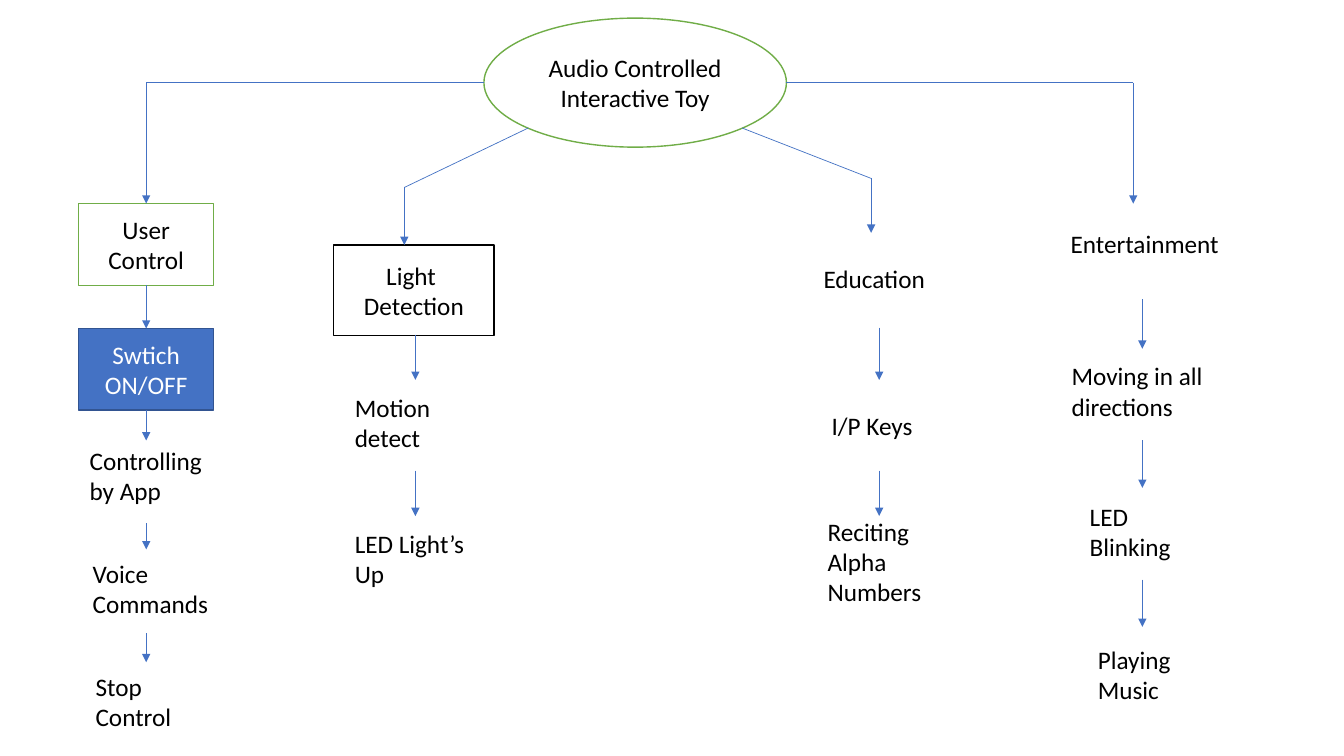
from dataclasses import dataclass
from itertools import pairwise
from typing import Any, NamedTuple

from lxml.etree import SubElement as Sub
from pptx import Presentation
from pptx.dml.color import RGBColor as Rgb
from pptx.enum.shapes import MSO_CONNECTOR as Link, MSO_SHAPE as Kind
from pptx.enum.text import MSO_ANCHOR as Anchor, MSO_AUTO_SIZE as Fit, PP_ALIGN as Align
from pptx.oxml.ns import qn
from pptx.util import Inches, Pt


@dataclass(frozen=True)
class Theme:
    font: str = "Calibri"
    size: float = 18
    edge: float = 1
    wire: float = 0.5
    ink: str = "000000"
    paper: str = "FFFFFF"
    blue: str = "4472C4"
    navy: str = "325491"
    green: str = "70AD47"


THEME = Theme()


class Node(NamedTuple):
    """A filled, outlined box with centred text."""
    text: str
    x: float
    y: float
    w: float
    h: float
    line: str
    fill: str = THEME.paper
    ink: str = THEME.ink
    kind: Kind = Kind.RECTANGLE


class Label(NamedTuple):
    text: str
    x: float
    y: float
    w: float
    h: float = 0.71


class Drop(NamedTuple):
    """A column of vertical arrows, each given by its top and bottom."""
    x: float
    spans: tuple[tuple[float, float], ...]


NODES = (
    Node("Audio Controlled\nInteractive Toy", 4.8, 0.18, 3, 1.28, THEME.green, kind=Kind.OVAL),
    Node("User Control", 0.78, 2.02, 1.34, 0.81, THEME.green),
    Node("Swtich\nON/OFF", 0.78, 3.26, 1.34, 0.81, THEME.navy, THEME.blue, THEME.paper),
    Node("Light \nDetection", 3.31, 2.43, 1.59, 0.9, THEME.ink),
)

LABELS = (
    Label("Controlling by App", 0.79, 4.37, 1.41),
    Label("Voice\nCommands", 0.82, 5.49, 1.59),
    Label("Stop\nControl", 0.85, 6.61, 1),
    Label("Motion\ndetect", 3.42, 3.84, 1.42),
    Label("LED Light’s Up", 3.42, 5.19, 1.59),
    Label("Education", 8.07, 2.56, 1.78, 0.4),
    Label("I/P Keys", 8.15, 4.02, 1.18, 0.4),
    Label("Reciting Alpha\nNumbers", 8.11, 5.07, 1.41, 1.01),
    Label("Entertainment", 10.52, 2.22, 1.75, 0.4),
    Label("Moving in all\ndirections", 10.53, 3.53, 1.52),
    Label("LED\nBlinking", 10.71, 4.92, 1.07),
    Label("Playing\nMusic", 10.79, 6.34, 1),
)

Route = tuple[tuple[float, float], ...]

BRANCHES: tuple[Route, ...] = (
    ((4.8, 0.82), (1.45, 0.82), (1.45, 2.02)),
    ((5.24, 1.27), (4.01, 1.86), (4.01, 2.43)),
    ((7.36, 1.27), (8.64, 1.77), (8.64, 2.31)),
    ((7.8, 0.82), (11.24, 0.82), (11.24, 2.02)),
)

DROPS = (
    Drop(1.45, ((2.83, 3.26), (4.07, 4.37), (5.19, 5.45), (6.28, 6.57))),
    Drop(4.12, ((3.32, 3.77), (4.67, 5.12))),
    Drop(8.72, ((3.25, 3.77), (4.67, 5.12))),
    Drop(11.33, ((2.97, 3.46), (4.37, 4.84), (5.75, 6.22))),
)


def apply(target: Any, style: dict[str, Any]) -> None:
    for name, value in style.items():
        setattr(target, name, value)


def write(shape: Any, text: str, ink: str, align: Align, frame: dict[str, Any]) -> None:
    body = shape.text_frame
    body.text = text
    apply(body, {"word_wrap": True} | frame)
    for para in body.paragraphs:
        para.alignment = align
        apply(para.font, {"name": THEME.font, "size": Pt(THEME.size)})
        para.font.color.rgb = Rgb.from_string(ink)


def add_node(slide: Any, node: Node) -> None:
    box = slide.shapes.add_shape(node.kind, *map(Inches, node[1:5]))
    box.shadow.inherit = False
    box.fill.solid()
    box.fill.fore_color.rgb = Rgb.from_string(node.fill)
    box.line.color.rgb = Rgb.from_string(node.line)
    box.line.width = Pt(THEME.edge)
    write(box, node.text, node.ink, Align.CENTER, {"vertical_anchor": Anchor.MIDDLE})


def add_label(slide: Any, label: Label) -> None:
    box = slide.shapes.add_textbox(*map(Inches, label[1:]))
    write(box, label.text, THEME.ink, Align.LEFT, {"auto_size": Fit.SHAPE_TO_FIT_TEXT})


def add_route(slide: Any, route: Route) -> None:
    """Join the points with straight lines; the last one ends in an arrowhead."""
    for start, end in pairwise(route):
        wire = slide.shapes.add_connector(Link.STRAIGHT, *map(Inches, start + end))
        wire.line.color.rgb = Rgb.from_string(THEME.blue)
        wire.line.width = Pt(THEME.wire)
        if end == route[-1]:
            Sub(wire.line._get_or_add_ln(), qn("a:tailEnd"), type="triangle")
        Sub(wire._element.spPr, qn("a:effectLst"))


def main() -> None:
    deck = Presentation()
    apply(deck, {"slide_width": Inches(13.33), "slide_height": Inches(7.5)})
    slide = deck.slides.add_slide(deck.slide_layouts.get_by_name("Blank"))
    for node in NODES:
        add_node(slide, node)
    for route in BRANCHES:
        add_route(slide, route)
    for drop in DROPS:
        for top, end in drop.spans:
            add_route(slide, ((drop.x, top), (drop.x, end)))
    for label in LABELS:
        add_label(slide, label)
    deck.save("out.pptx")


if __name__ == "__main__":
    main()
